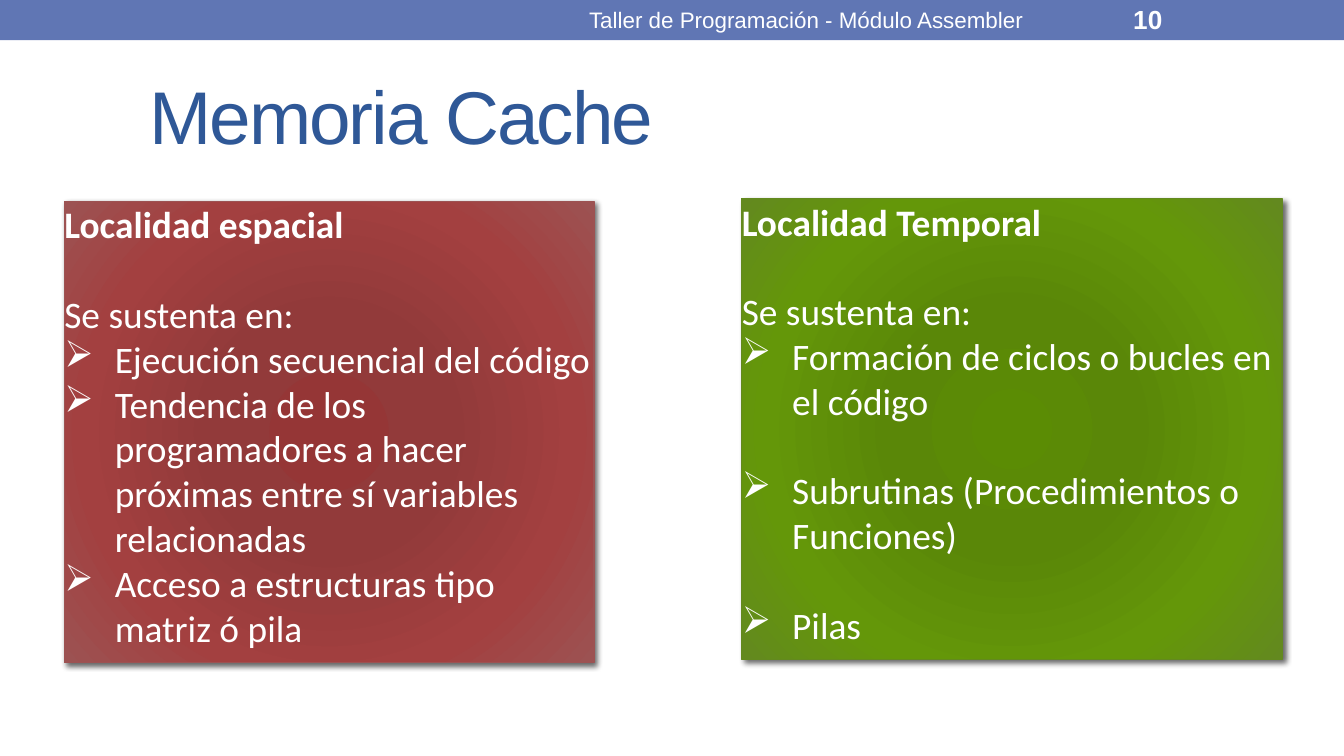
from dataclasses import dataclass

import lxml.etree
import pptx
import pptx.dml.color
import pptx.enum.shapes
import pptx.enum.text
import pptx.oxml
import pptx.oxml.ns
import pptx.util

Pt = pptx.util.Pt
RGBColor = pptx.dml.color.RGBColor
ALIGN = pptx.enum.text.PP_ALIGN
MIDDLE = pptx.enum.text.MSO_ANCHOR.MIDDLE
RECTANGLE = pptx.enum.shapes.MSO_SHAPE.RECTANGLE

WHITE = RGBColor(0xFF, 0xFF, 0xFF)
HEADER_BLUE = RGBColor(0x60, 0x76, 0xB4)
TITLE_BLUE = RGBColor(0x2F, 0x58, 0x97)
REDS = (RGBColor(0x95, 0x36, 0x36), RGBColor(0x92, 0x3A, 0x3A),
        RGBColor(0xA3, 0x40, 0x40), RGBColor(0x9C, 0x52, 0x52))
GREENS = (RGBColor(0x5B, 0x8C, 0x04), RGBColor(0x5A, 0x87, 0x08),
          RGBColor(0x64, 0x97, 0x09), RGBColor(0x63, 0x89, 0x1F))
GRADIENT_STOPS = (0, 34, 70, 100)
LINE_HEIGHT = 24
BULLET_INDENT = 27
PANEL_HEIGHT = 247


@dataclass(frozen=True)
class Panel:
    left: float
    top: float
    width: float
    colors: tuple[RGBColor, ...]
    heading: str
    reasons: tuple[str, ...]
    reason_gap: float


PANELS = (
    Panel(34.5, 108, 283.7, REDS, "Localidad espacial",
          ("Ejecución secuencial del código",
           "Tendencia de los programadores a hacer próximas entre sí variables relacionadas",
           "Acceso a estructuras tipo matriz ó pila"), 0),
    Panel(397.4, 106.5, 289.5, GREENS, "Localidad Temporal",
          ("Formación de ciclos o bucles en el código",
           "Subrutinas (Procedimientos o Funciones)",
           "Pilas"), LINE_HEIGHT),
)


def format_font(font, name: str, size: float, color: RGBColor, bold: bool = False) -> None:
    font.name = name
    font.size = Pt(size)
    font.bold = bold
    font.color.rgb = color


def add_header_text(slide, left: float, width: float, text: str, size: float,
                    align: ALIGN, bold: bool = False) -> None:
    box = slide.shapes.add_textbox(Pt(left), Pt(0.7), Pt(width), Pt(19.5))
    frame = box.text_frame
    frame.word_wrap = True
    frame.vertical_anchor = MIDDLE
    frame.text = text
    frame.paragraphs[0].alignment = align
    format_font(frame.paragraphs[0].runs[0].font, "Arial", size, WHITE, bold)


def apply_radial_gradient(shape, colors: tuple[RGBColor, ...]) -> None:
    shape.fill.gradient()
    old = shape._element.spPr.find(pptx.oxml.ns.qn("a:gradFill"))
    stops = "".join(f'<a:gs pos="{stop * 1000}"><a:srgbClr val="{color}"/></a:gs>'
                    for stop, color in zip(GRADIENT_STOPS, colors))
    gradient = pptx.oxml.parse_xml(
        f'<a:gradFill {pptx.oxml.ns.nsdecls("a")} rotWithShape="1"><a:gsLst>{stops}</a:gsLst>'
        '<a:path path="circle"><a:fillToRect l="100000" t="100000" r="100000" b="100000"/>'
        '</a:path></a:gradFill>')
    old.getparent().replace(old, gradient)


def apply_drop_shadow(shape) -> None:
    shape.shadow.inherit = False
    effects = shape._element.spPr.find(pptx.oxml.ns.qn("a:effectLst"))
    effects.append(pptx.oxml.parse_xml(
        f'<a:outerShdw {pptx.oxml.ns.nsdecls("a")} blurRad="{Pt(3)}" dist="{Pt(2)}" '
        'dir="2700000" algn="tl" rotWithShape="0"><a:srgbClr val="000000">'
        '<a:alpha val="60000"/></a:srgbClr></a:outerShdw>'))


def add_bullet(paragraph) -> None:
    properties = paragraph._p.get_or_add_pPr()
    properties.set("marL", str(Pt(BULLET_INDENT)))
    properties.set("indent", str(-Pt(BULLET_INDENT)))
    bullet = lxml.etree.SubElement(properties, pptx.oxml.ns.qn("a:buChar"))
    bullet.set("char", "➢")


def add_panel(slide, panel: Panel) -> None:
    shape = slide.shapes.add_shape(RECTANGLE, Pt(panel.left), Pt(panel.top),
                                   Pt(panel.width), Pt(PANEL_HEIGHT))
    apply_radial_gradient(shape, panel.colors)
    shape.line.color.rgb = panel.colors[-1]
    shape.line.width = Pt(0.75)
    apply_drop_shadow(shape)

    frame = shape.text_frame
    frame.word_wrap = True
    frame.auto_size = pptx.enum.text.MSO_AUTO_SIZE.SHAPE_TO_FIT_TEXT
    frame.vertical_anchor = pptx.enum.text.MSO_ANCHOR.TOP
    frame.margin_left = frame.margin_top = frame.margin_right = 0
    frame.margin_bottom = Pt(4.3)
    frame.text = "\n".join((panel.heading, "Se sustenta en:", *panel.reasons))
    heading, introduction, *reasons = frame.paragraphs
    for paragraph in frame.paragraphs:
        paragraph.alignment = ALIGN.LEFT
        format_font(paragraph.runs[0].font, "Calibri", 20, WHITE)
    heading.runs[0].font.bold = True
    introduction.space_before = Pt(LINE_HEIGHT)
    for position, reason in enumerate(reasons):
        reason.space_before = Pt(panel.reason_gap if position else 0)
        add_bullet(reason)


def add_title(slide, text: str) -> None:
    title = slide.shapes.title
    title.left, title.top, title.width, title.height = Pt(72.7), Pt(32.4), Pt(648), Pt(58.3)
    frame = title.text_frame
    frame.vertical_anchor = MIDDLE
    frame.text = text
    frame.paragraphs[0].alignment = ALIGN.LEFT
    font = frame.paragraphs[0].runs[0].font
    format_font(font, "Arial", 40, TITLE_BLUE)
    font._element.set("spc", "-100")


def main() -> None:
    presentation = pptx.Presentation()
    presentation.slide_width = Pt(720)
    presentation.slide_height = Pt(405)
    slide = presentation.slides.add_slide(presentation.slide_layouts[5])

    header = slide.shapes.add_shape(RECTANGLE, 0, 0, Pt(720), Pt(21.6))
    header.shadow.inherit = False
    header.fill.solid()
    header.fill.fore_color.rgb = HEADER_BLUE
    header.line.fill.background()

    add_title(slide, "Memoria Cache")
    add_header_text(slide, 270, 324, "Taller de Programación - Módulo Assembler", 12, ALIGN.CENTER)
    add_header_text(slide, 600, 84, "10", 14, ALIGN.LEFT, bold=True)
    for panel in PANELS:
        add_panel(slide, panel)
    presentation.save("out.pptx")


if __name__ == "__main__":
    main()
